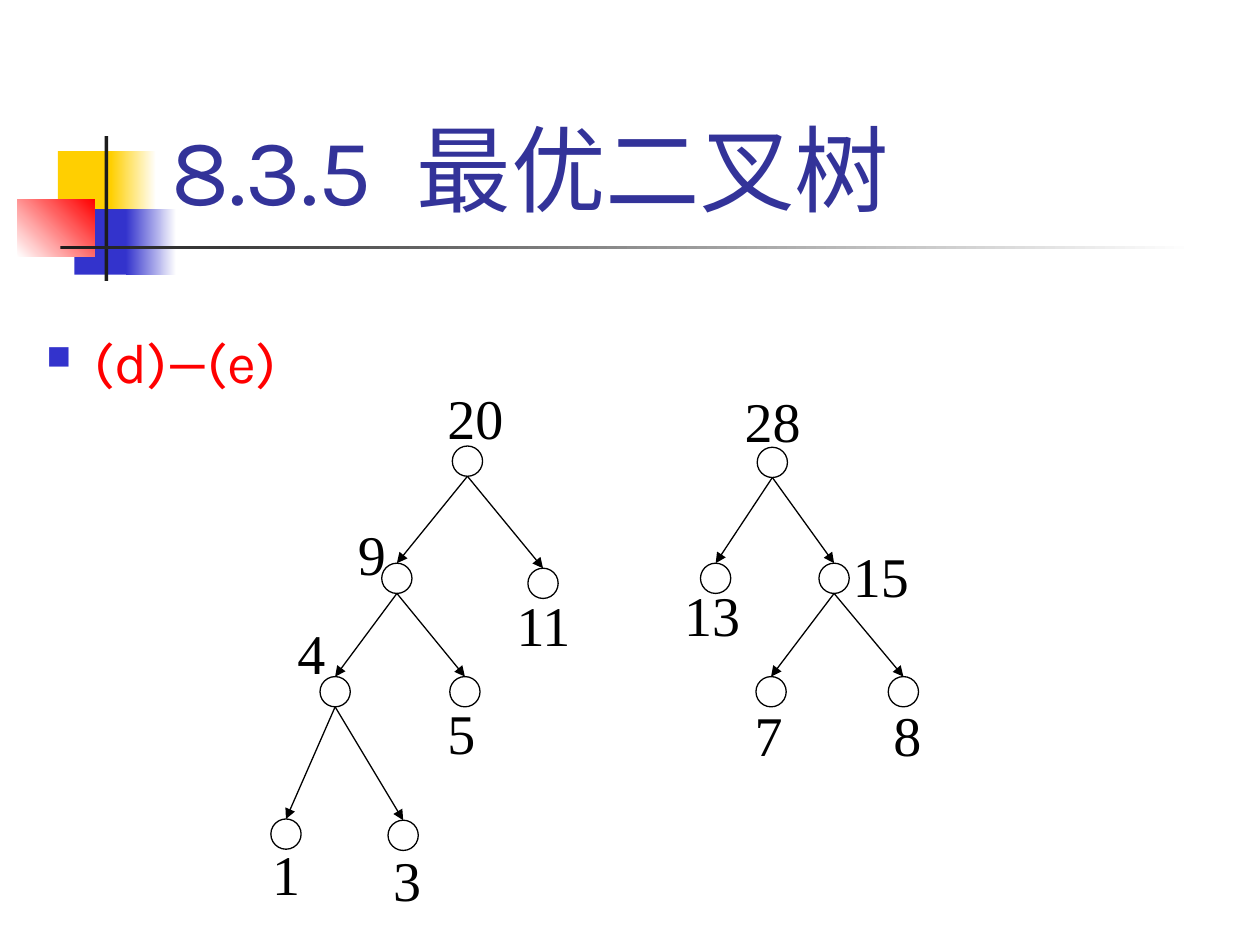
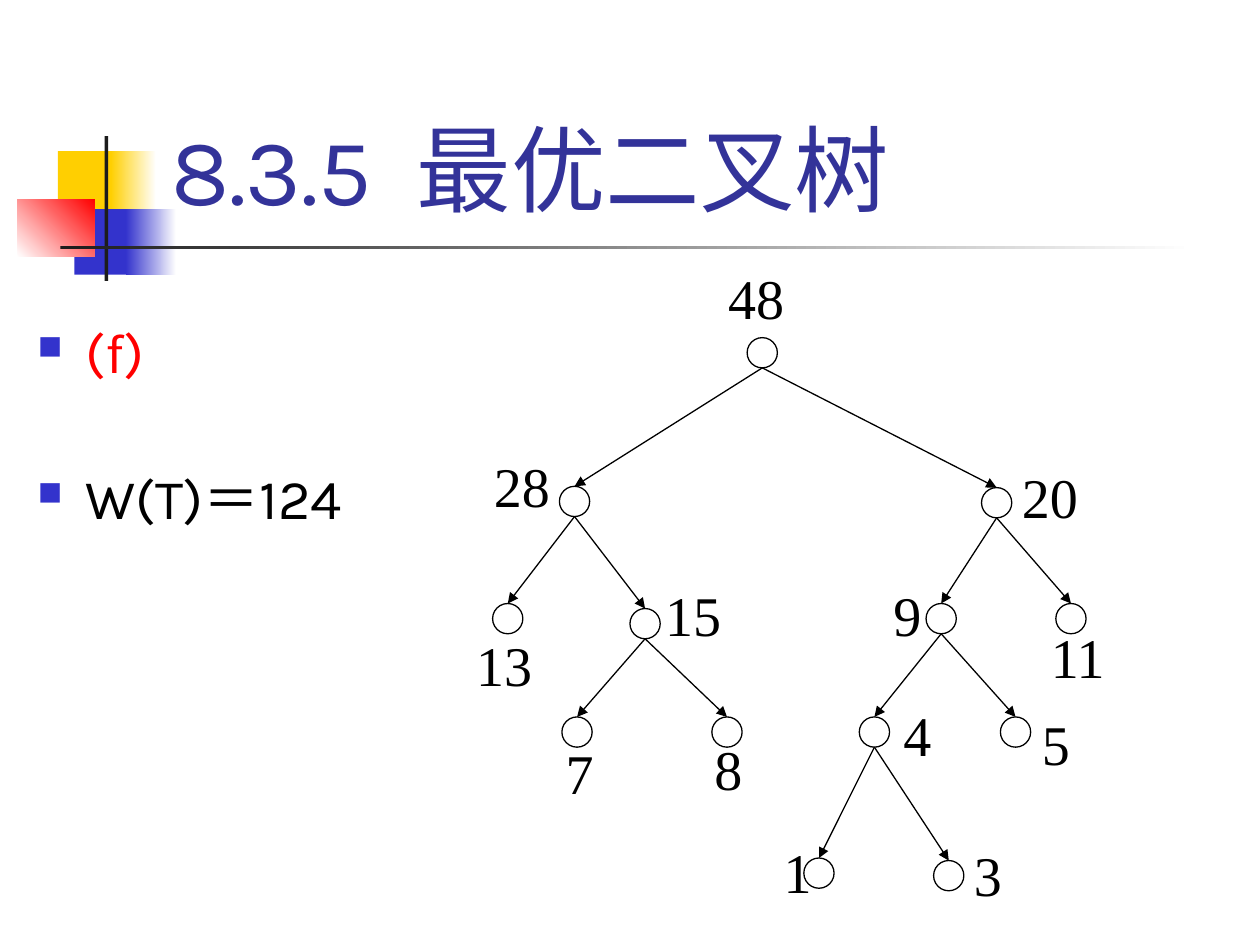
from dataclasses import dataclass

from lxml.etree import SubElement
from pptx import Presentation
from pptx.dml.color import RGBColor
from pptx.enum.shapes import MSO_CONNECTOR, MSO_SHAPE
from pptx.enum.text import MSO_ANCHOR, PP_ALIGN
from pptx.oxml.ns import qn
from pptx.util import Inches, Pt


@dataclass(frozen=True)
class Theme:
    white: str = "FFFFFF"
    black: str = "000000"
    ink: str = "1C1C1C"
    yellow: str = "FFCF01"
    blue: str = "3333CC"
    red: str = "FF0000"
    title: str = "333399"
    sans: str = "Karla"
    serif: str = "Times New Roman"
    title_size: float = 54
    text_size: float = 32
    line: float = 0.75


T = Theme()
WIDTH, HEIGHT = 10, 7.5
NODE = 0.24
LABEL = (0.87, 0.85)
TITLE = "8.3.5  最优二叉树"
TITLE_BOX = (1.26, 0.23, 8.52, 1.6)

# box, colours (one is solid, two are a gradient), angle
ORNAMENTS = [
    ((0.46, 1.2, 0.48, 0.52), (T.yellow,), 0),
    ((0.88, 1.2, 0.36, 0.52), (T.yellow, T.white), 0),
    ((0.59, 1.66, 0.46, 0.52), (T.blue,), 0),
    ((1, 1.66, 0.4, 0.52), (T.blue, T.white), 0),
    ((0.14, 1.58, 0.61, 0.46), (T.white, T.red), 45),
    ((0.83, 1.08, 0.03, 1.15), (T.ink,), 0),
    ((0.48, 1.95, 9, 0.03), (T.ink, T.white), 0),
]

# weight of a parent: weights of its two children
CHILDREN = {48: (28, 20), 28: (13, 15), 20: (9, 11), 15: (7, 8),
            9: (4, 5), 4: (1, 3)}

# nodes: weight: (node left, node top), (label left, label top)
SLIDES = [
    {
        "body_at": (0.27, 2.02),
        "body": [("(d)—(e)", T.red)],
        "nodes": {
            1: ((2.15, 6.5), (2.04, 6.6)),
            3: ((3.08, 6.51), (3, 6.65)),
            11: ((4.19, 4.51), (3.98, 4.63)),
            9: ((3.03, 4.47), (2.72, 4.06)),
            5: ((3.57, 5.37), (3.43, 5.48)),
            4: ((2.54, 5.37), (2.24, 4.85)),
            20: ((3.59, 3.54), (3.43, 2.98)),
            8: ((7.05, 5.37), (6.97, 5.5)),
            7: ((6, 5.37), (5.87, 5.5)),
            15: ((6.5, 4.47), (6.65, 4.24)),
            13: ((5.56, 4.47), (5.31, 4.55)),
            28: ((6.01, 3.55), (5.79, 3.01)),
        },
    },
    {
        "body_at": (0.2, 1.94),
        "body": [("(f)", T.red), ("W(T)＝124", T.black)],
        "nodes": {
            48: ((5.93, 2.68), (5.66, 2.03)),
            8: ((5.65, 5.69), (5.55, 5.77)),
            7: ((4.46, 5.69), (4.37, 5.8)),
            15: ((5, 4.83), (5.16, 4.55)),
            13: ((3.91, 4.79), (3.66, 4.94)),
            28: ((4.44, 3.86), (3.8, 3.52)),
            1: ((6.38, 6.81), (6.1, 6.59)),
            3: ((7.41, 6.83), (7.61, 6.61)),
            4: ((6.82, 5.69), (7.05, 5.5)),
            5: ((7.94, 5.69), (8.15, 5.57)),
            9: ((7.35, 4.79), (6.97, 4.55)),
            11: ((8.38, 4.79), (8.22, 4.88)),
            20: ((7.79, 3.87), (7.99, 3.61)),
        },
    },
]


def rgb(color):
    return RGBColor.from_string(color)


def inches(values):
    return [Inches(v) for v in values]


def add_box(s, kind, box, colors, line=None, angle=0):
    sp = s.shapes.add_shape(kind, *inches(box))
    sp.shadow.inherit = False
    if len(colors) == 1:
        sp.fill.solid()
        sp.fill.fore_color.rgb = rgb(colors[0])
    else:
        sp.fill.gradient()
        sp.fill.gradient_angle = angle
        for stop, color, position in zip(sp.fill.gradient_stops, colors, (0, 1)):
            stop.color.rgb = rgb(color)
            stop.position = position
    if line:
        sp.line.color.rgb = rgb(line)
        sp.line.width = Pt(T.line)
    else:
        sp.line.fill.background()
    return sp


def add_bullet(p):
    pPr = p._p.get_or_add_pPr()
    pPr.set("marL", str(Inches(0.38)))
    pPr.set("indent", str(-Inches(0.38)))
    color = SubElement(pPr, qn("a:buClr"))
    SubElement(color, qn("a:srgbClr")).set("val", T.blue)
    SubElement(pPr, qn("a:buSzPct")).set("val", "60000")
    SubElement(pPr, qn("a:buChar")).set("char", "■")


def write(sp, lines, font=T.sans, size=T.text_size, anchor=MSO_ANCHOR.TOP,
          insets=(0.1, 0.05), bullets=False):
    """Fill a shape with lines, each a pair of text and colour."""
    tf = sp.text_frame
    tf.word_wrap = True
    tf.vertical_anchor = anchor
    tf.margin_left = tf.margin_right = Inches(insets[0])
    tf.margin_top = tf.margin_bottom = Inches(insets[1])
    for i, (text, color) in enumerate(lines):
        p = tf.add_paragraph() if i else tf.paragraphs[0]
        p.alignment = PP_ALIGN.LEFT
        if bullets:
            add_bullet(p)
            p.line_spacing = 2.0
            p.space_before = Pt(0.2 * size if i else 0)
        r = p.add_run()
        r.text = text
        r.font.name = font
        r.font.size = Pt(size)
        r.font.color.rgb = rgb(color)


def add_arrow(s, start, end):
    c = s.shapes.add_connector(MSO_CONNECTOR.STRAIGHT, *inches(start + end))
    c.line.color.rgb = rgb(T.black)
    c.line.width = Pt(T.line)
    SubElement(c.line._get_or_add_ln(), qn("a:tailEnd")).set("type", "triangle")
    SubElement(c._element.spPr, qn("a:effectLst"))


def add_frame(s, body, body_at):
    for box, colors, angle in ORNAMENTS:
        add_box(s, MSO_SHAPE.RECTANGLE, box, colors, angle=angle)
    title = s.shapes.add_textbox(*inches(TITLE_BOX))
    write(title, [(TITLE, T.title)], size=T.title_size, anchor=MSO_ANCHOR.BOTTOM)
    left, top = body_at
    box = (left, top, WIDTH - left, HEIGHT - top)
    write(s.shapes.add_textbox(*inches(box)), body, bullets=True)


def add_tree(s, nodes):
    for weight, (_, at) in nodes.items():
        label = add_box(s, MSO_SHAPE.RECTANGLE, at + LABEL, (T.white,), T.white)
        write(label, [(str(weight), T.black)], font=T.serif, insets=(0.12, 0.06))
    for at, _ in nodes.values():
        add_box(s, MSO_SHAPE.OVAL, at + (NODE, NODE), (T.white,), T.black)
    for parent, children in CHILDREN.items():
        if parent not in nodes:
            continue
        x, y = nodes[parent][0]
        for child in children:
            cx, cy = nodes[child][0]
            add_arrow(s, (x + NODE / 2, y + NODE), (cx + NODE / 2, cy))


def main():
    prs = Presentation()
    prs.slide_width, prs.slide_height = inches((WIDTH, HEIGHT))
    for content in SLIDES:
        s = prs.slides.add_slide(prs.slide_layouts[6])
        add_frame(s, content["body"], content["body_at"])
        add_tree(s, content["nodes"])
    prs.save("out.pptx")


if __name__ == "__main__":
    main()
